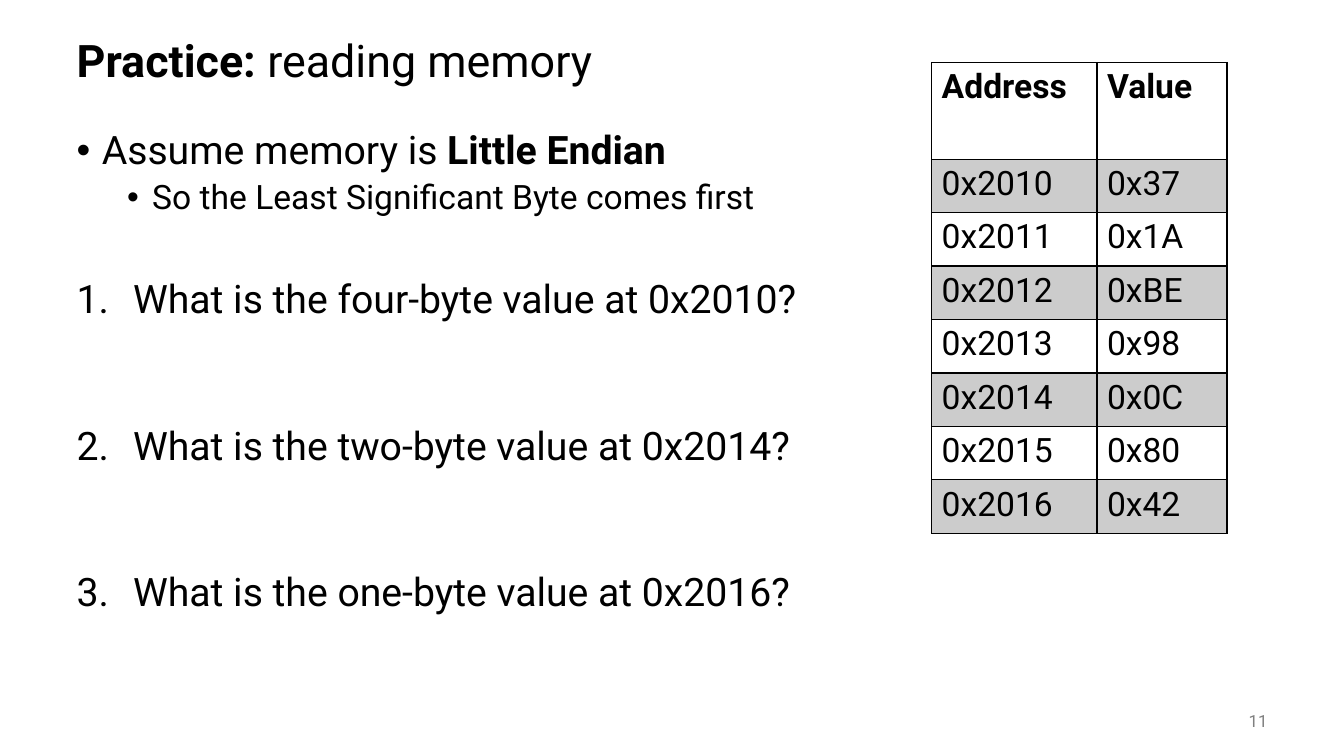
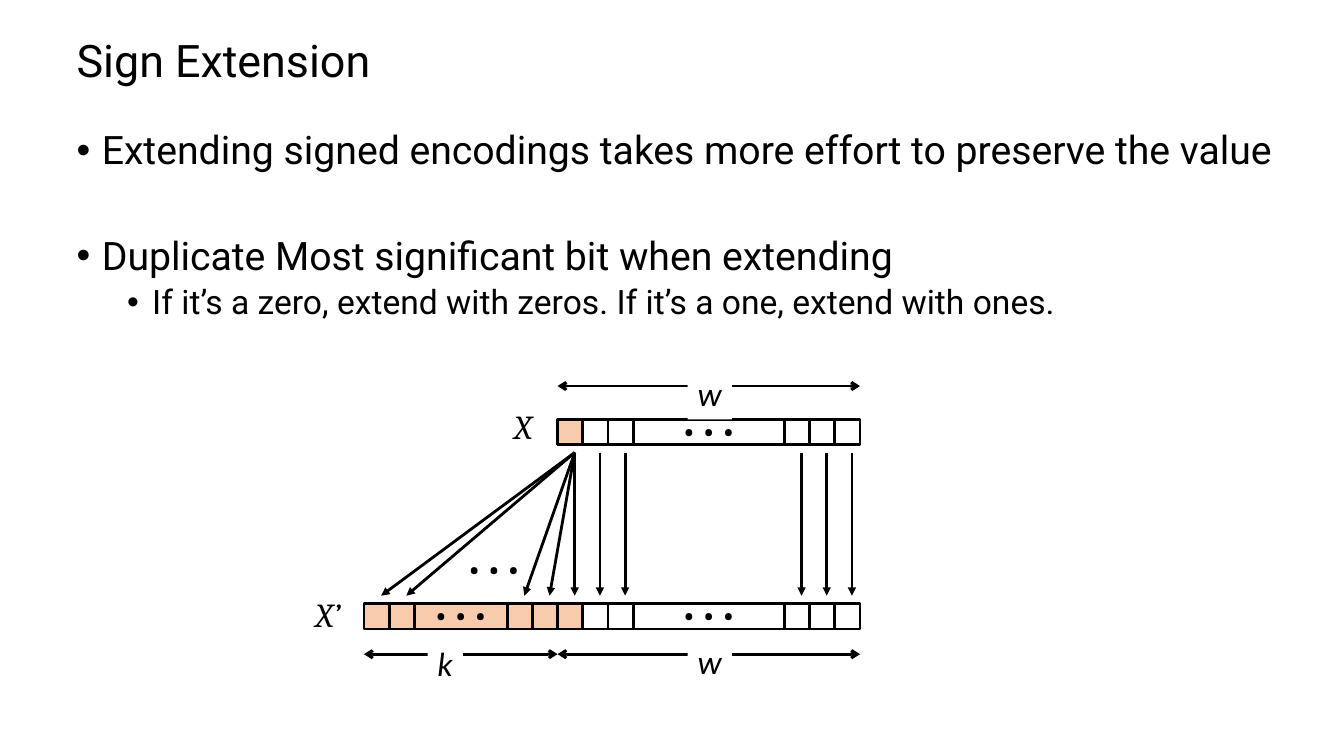
from dataclasses import dataclass

import pptx
import pptx.dml.color
import pptx.enum.shapes
import pptx.enum.text
import pptx.oxml.ns
import pptx.oxml.xmlchemy
import pptx.util
from lxml import etree
from pptx.util import Inches

COLORS = {
    "black": "000000",
    "white": "FFFFFF",
    "gray": "808080",
    "band": "CCCCCC",
    "sign": "F8CBAD",
}
FONT = "Roboto"
DOTS = "• • •"
ALIGN = pptx.enum.text.PP_ALIGN
ANCHOR = pptx.enum.text.MSO_ANCHOR
BIT = 0.25


@dataclass(frozen=True)
class Item:
    """A list paragraph; each run is its text and whether it is bold."""
    runs: tuple[tuple[str, bool], ...]
    level: int = 0
    before: float = 0
    numbered: bool = False


@dataclass(frozen=True)
class Cell:
    color: str
    width: float = BIT
    text: str = ""


@dataclass(frozen=True)
class Label:
    text: str
    left: float
    top: float
    width: float
    font: str
    fill: str | None = None
    italic: bool = True


@dataclass(frozen=True)
class Arrow:
    start: tuple[float, float]
    end: tuple[float, float]
    double: bool = False


def rgb(name: str) -> pptx.dml.color.RGBColor:
    return pptx.dml.color.RGBColor.from_string(COLORS[name])


def add_element(parent, tag: str, **attributes: str):
    return etree.SubElement(parent, pptx.oxml.ns.qn(tag), attributes)


def write_text(paragraph, text: str, *, size: float = 24, font: str = FONT,
               color: str = "black", bold: bool = False, italic: bool = False) -> None:
    run = paragraph.add_run()
    run.text = text
    run.font.size = pptx.util.Pt(size)
    run.font.name = font
    run.font.color.rgb = rgb(color)
    run.font.bold = bold
    run.font.italic = italic


def place(shape, left: float, top: float, width: float, height: float) -> None:
    shape.left, shape.top = Inches(left), Inches(top)
    shape.width, shape.height = Inches(width), Inches(height)


def format_item(paragraph, item: Item) -> None:
    hanging = 0.56 if item.numbered else 0.25
    properties = paragraph._p.get_or_add_pPr()
    properties.set("marL", str(Inches(hanging + 0.5 * item.level)))
    properties.set("indent", str(-Inches(hanging)))
    if item.numbered:
        add_element(properties, "a:buFont", typeface="+mj-lt")
        add_element(properties, "a:buAutoNum", type="arabicPeriod")
    else:
        add_element(properties, "a:buFont", typeface="Arial")
        add_element(properties, "a:buChar", char="•")
    paragraph.level = item.level
    paragraph.line_spacing = 0.9
    paragraph.space_before = pptx.util.Pt(item.before)
    size = 24 if item.level else 28
    paragraph.font.size = pptx.util.Pt(size)
    for text, bold in item.runs:
        write_text(paragraph, text, size=size, bold=bold)


def add_content_slide(presentation, title_runs: tuple[tuple[str, bool], ...],
                      items: list[Item], body_width: float = 12):
    slide = presentation.slides.add_slide(presentation.slide_layouts[1])
    title, body = slide.shapes.title, slide.placeholders[1]
    place(title, 0.66, 0.25, 12, 0.75)
    place(body, 0.66, 1.25, body_width, 5.5)
    for placeholder, anchor in ((title, ANCHOR.MIDDLE), (body, ANCHOR.TOP)):
        frame = placeholder.text_frame
        frame.word_wrap = True
        frame.auto_size = pptx.enum.text.MSO_AUTO_SIZE.NONE
        frame.vertical_anchor = anchor
    heading = title.text_frame.paragraphs[0]
    heading.alignment = ALIGN.LEFT
    heading.line_spacing = 0.9
    for text, bold in title_runs:
        write_text(heading, text, size=32, bold=bold)
    for index, item in enumerate(items):
        frame = body.text_frame
        format_item(frame.add_paragraph() if index else frame.paragraphs[0], item)
    return slide


def add_page_number(slide, number: str) -> None:
    box = slide.shapes.add_textbox(Inches(11.67), Inches(6.95), Inches(1), Inches(0.4))
    box.text_frame.word_wrap = True
    box.text_frame.vertical_anchor = ANCHOR.MIDDLE
    paragraph = box.text_frame.paragraphs[0]
    paragraph.alignment = ALIGN.RIGHT
    write_text(paragraph, number, size=12, color="gray")


def add_cell_borders(cell) -> None:
    properties = cell._tc.get_or_add_tcPr()
    for index, side in enumerate(("a:lnL", "a:lnR", "a:lnT", "a:lnB")):
        line = add_element(properties, side, w=str(pptx.util.Pt(1)))
        fill = add_element(line, "a:solidFill")
        add_element(fill, "a:srgbClr", val=COLORS["black"])
        properties.insert(index, line)


def add_memory_table(slide, first_address: int, values: list[str]) -> None:
    rows = [("Address", "Value")]
    rows += [(f"0x{first_address + offset:X}", value) for offset, value in enumerate(values)]
    widths, header_height, row_height = (1.64, 1.29), 0.96, 0.53
    table = slide.shapes.add_table(
        len(rows), len(widths), Inches(9.24), Inches(0.62), Inches(sum(widths)),
        Inches(header_height + row_height * len(values))).table
    table.first_row = table.horz_banding = False
    for column, width in zip(table.columns, widths):
        column.width = Inches(width)
    for row_index, row in enumerate(rows):
        table.rows[row_index].height = Inches(row_height if row_index else header_height)
        for column_index, text in enumerate(row):
            cell = table.cell(row_index, column_index)
            cell.fill.solid()
            cell.fill.fore_color.rgb = rgb("band" if row_index % 2 else "white")
            add_cell_borders(cell)
            write_text(cell.text_frame.paragraphs[0], text, bold=row_index == 0)


def add_bit_row(slide, left: float, top: float, cells: list[Cell]) -> None:
    for cell in cells:
        shape = slide.shapes.add_shape(
            pptx.enum.shapes.MSO_SHAPE.RECTANGLE,
            Inches(left), Inches(top), Inches(cell.width), Inches(BIT))
        shape.shadow.inherit = False
        shape.fill.solid()
        shape.fill.fore_color.rgb = rgb(cell.color)
        shape.line.color.rgb = rgb("black")
        shape.line.width = pptx.util.Pt(2)
        if cell.text:
            shape.text_frame.word_wrap = False
            shape.text_frame.vertical_anchor = ANCHOR.MIDDLE
            paragraph = shape.text_frame.paragraphs[0]
            paragraph.alignment = ALIGN.CENTER
            write_text(paragraph, cell.text)
        left += cell.width


def add_label(slide, label: Label) -> None:
    box = slide.shapes.add_textbox(
        Inches(label.left), Inches(label.top), Inches(label.width), Inches(0.51))
    box.text_frame.word_wrap = False
    if label.fill:
        box.fill.solid()
        box.fill.fore_color.rgb = rgb(label.fill)
    write_text(box.text_frame.paragraphs[0], label.text, font=label.font, italic=label.italic)


def add_arrow(slide, arrow: Arrow) -> None:
    connector = slide.shapes.add_connector(
        pptx.enum.shapes.MSO_CONNECTOR.STRAIGHT,
        *(Inches(value) for value in arrow.start + arrow.end))
    connector.line.color.rgb = rgb("black")
    connector.line.width = pptx.util.Pt(2)
    line = connector.line._get_or_add_ln()
    if arrow.double:
        add_element(line, "a:headEnd", type="arrow")
    add_element(line, "a:tailEnd", type="arrow" if arrow.double else "triangle")
    add_element(connector._element.spPr, "a:effectLst")


def add_extension_diagram(slide) -> None:
    word_left, extended_left, word_right = 5.53, 3.61, 8.53
    sign, bit = Cell("sign"), Cell("white")
    word = [sign, bit, bit, Cell("white", 1.5, DOTS), bit, bit, bit]
    extension = [sign, sign, Cell("sign", 0.92, DOTS), sign, sign]
    add_bit_row(slide, word_left, 4.16, word)
    add_bit_row(slide, extended_left, 5.99, extension + word)

    sign_x, arrow_top, arrow_bottom = 5.7, 4.49, 5.91
    for end_x in (3.78, 4.03, 5.2, 5.45, sign_x):
        add_arrow(slide, Arrow((sign_x, arrow_top), (end_x, arrow_bottom)))
    for x in (5.95, 6.2, 7.95, 8.2, 8.45):
        add_arrow(slide, Arrow((x, arrow_top), (x, arrow_bottom)))
    for left, right, y in ((word_left, word_right, 3.83),
                           (word_left, word_right, 6.49),
                           (extended_left, word_left, 6.49)):
        add_arrow(slide, Arrow((left, y), (right, y), double=True))

    for label in (
        Label("X", 5, 3.98, 0.49, "Cambria"),
        Label("X’", 3.03, 5.84, 0.52, "Cambria"),
        Label(DOTS, 4.55, 5.41, 0.87, FONT, italic=False),
        Label("w", 6.82, 3.65, 0.44, "Calibri", "white"),
        Label("w", 6.82, 6.31, 0.44, "Calibri", "white"),
        Label("k", 4.24, 6.33, 0.35, "Calibri", "white"),
    ):
        add_label(slide, label)


def main() -> None:
    presentation = pptx.Presentation()
    presentation.slide_width, presentation.slide_height = Inches(13.33), Inches(7.5)

    questions = [("four", "0x2010", 45), ("two", "0x2014", 74.5), ("one", "0x2016", 74.5)]
    practice = add_content_slide(
        presentation, (("Practice:", True), (" reading memory", False)),
        [Item((("Assume memory is ", False), ("Little Endian", True))),
         Item((("So the Least Significant Byte comes first", False),), level=1, before=5)]
        + [Item(((f"What is the {count}-byte value at {address}?", False),),
                before=before, numbered=True) for count, address, before in questions])
    add_page_number(practice, "11")
    add_memory_table(practice, 0x2010, ["0x37", "0x1A", "0xBE", "0x98", "0x0C", "0x80", "0x42"])

    extension = add_content_slide(
        presentation, (("Sign Extension", False),),
        [Item((("Extending signed encodings takes more effort to preserve the value", False),)),
         Item((("Duplicate Most significant bit when extending", False),), before=45),
         Item((("If it’s a zero, extend with zeros. If it’s a one, extend with ones.", False),),
              level=1, before=5)],
        body_width=12.38)
    add_extension_diagram(extension)

    presentation.save("out.pptx")


if __name__ == "__main__":
    main()
